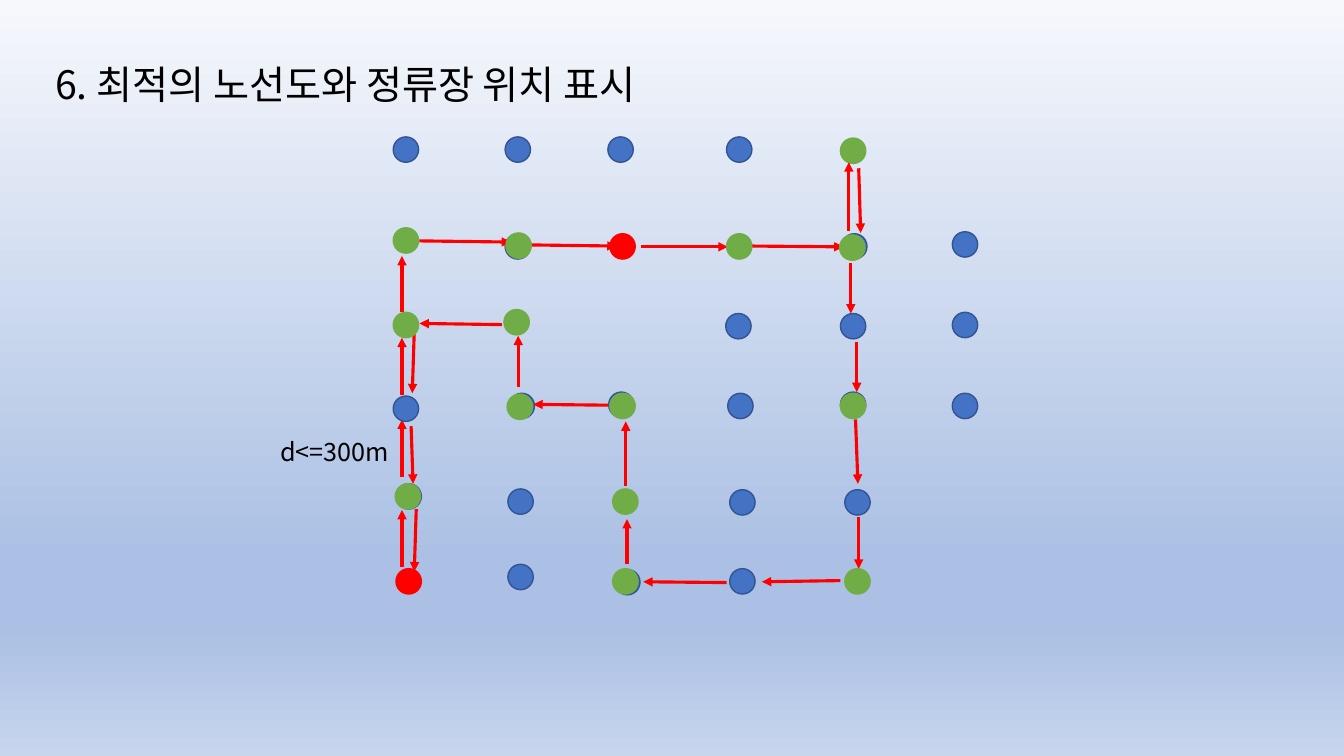
import dataclasses

import pptx
import pptx.dml.color
import pptx.enum.shapes
import pptx.enum.text
import pptx.oxml.ns
import pptx.util
from lxml import etree

Cm = pptx.util.Cm
Pt = pptx.util.Pt
qn = pptx.oxml.ns.qn
Align = pptx.enum.text.PP_ALIGN


@dataclasses.dataclass(frozen=True)
class Theme:
    font: str = "Noto Sans CJK KR"
    ink: str = "000000"
    blue: str = "4472C4"
    edge: str = "325491"
    green: str = "70AD47"
    red: str = "FF0000"
    sky: tuple = ((0, "F6F8FC"), (74, "ABC0E4"), (83, "ABC0E4"), (100, "C7D5ED"))
    title: int = 28
    label: int = 18
    rim: float = 1
    route: float = 2.25
    dot: float = 0.64


THEME = Theme()
PLAIN = (THEME.blue, THEME.edge)
STOP = (THEME.green, THEME.green)
END = (THEME.red, THEME.red)

# Dots as (left, top) in cm: street corners and both ends lie under the route
CORNERS = [
    (9.91, 3.45), (12.73, 3.45), (15.32, 3.45), (18.31, 3.45),
    (12.73, 5.89), (21.21, 5.89), (24, 5.84),
    (18.29, 7.9), (21.18, 7.9), (24, 7.87),
    (12.83, 9.91), (15.34, 9.88), (18.34, 9.91), (21.18, 9.88), (24, 9.91),
    (9.98, 12.19), (12.8, 12.32), (18.39, 12.34), (21.29, 12.34),
    (12.8, 14.22), (15.49, 14.35), (18.39, 14.33),
]
ENDS = [(15.37, 5.89), (9.98, 14.33)]
LOW_STOPS = [(9.91, 5.74), (21.18, 3.48)]

# Dots that lie over the route
TOP_CORNERS = [(9.91, 9.98)]
TOP_STOPS = [
    (12.75, 5.87), (18.31, 5.89), (21.16, 5.92),
    (9.91, 7.87), (12.7, 7.8),
    (12.78, 9.93), (15.37, 9.91), (21.18, 9.91),
    (9.96, 12.19), (15.44, 12.32),
    (15.44, 14.33), (21.29, 14.33),
]

# Route steps as (x1, y1, x2, y2) in cm, in driving order
ROUTE = [
    # Up the left side
    (10.13, 14.3, 10.13, 12.85), (10.13, 12.01, 10.13, 10.57),
    (10.13, 9.96, 10.13, 8.51), (10.13, 7.87, 10.13, 6.45),
    # Across to the right
    (10.57, 6.07, 12.88, 6.1), (13.23, 6.17, 15.54, 6.2),
    (16.15, 6.22, 18.34, 6.22), (18.95, 6.2, 21.26, 6.22),
    # Up to the top stop and back
    (21.39, 5.82, 21.39, 4.09), (21.64, 4.24, 21.69, 5.87),
    # Down the right side
    (21.44, 6.63, 21.44, 7.9), (21.59, 8.61, 21.59, 9.88),
    (21.56, 10.57, 21.62, 12.19), (21.64, 13.03, 21.64, 14.33),
    # Back by steps to the left
    (21.18, 14.63, 19.2, 14.66), (18.31, 14.68, 16.21, 14.66),
    (15.8, 14.22, 15.8, 13.08), (15.77, 12.24, 15.77, 10.62),
    (15.32, 10.21, 13.44, 10.19), (13.06, 9.75, 13.06, 8.46),
    (12.65, 8.18, 10.57, 8.15),
    # Down the left side
    (10.44, 8.33, 10.39, 9.91), (10.36, 10.74, 10.41, 12.19),
    (10.49, 12.83, 10.44, 14.4),
]


def rgb(code):
    return pptx.dml.color.RGBColor.from_string(code)


def paint(slide):
    """Fill the background from top to bottom."""
    fill = slide.background.fill
    fill.gradient()
    fill.gradient_angle = 270
    stops = slide.element.find(".//" + qn("a:gsLst"))
    for old in list(stops):
        stops.remove(old)
    for pos, code in THEME.sky:
        stop = etree.SubElement(stops, qn("a:gs"), pos=str(pos * 1000))
        etree.SubElement(stop, qn("a:srgbClr"), val=code)


def write(slide, text, box, size, align):
    """Add a text box and return its paragraph."""
    frame = slide.shapes.add_textbox(*map(Cm, box)).text_frame
    frame.word_wrap = True
    para = frame.paragraphs[0]
    para.text = text
    para.alignment = align
    para.font.size = Pt(size)
    para.font.name = THEME.font
    para.font.color.rgb = rgb(THEME.ink)
    props = para._p.find(".//" + qn("a:defRPr"))
    etree.SubElement(props, qn("a:ea"), typeface=THEME.font)
    return para


def dots(slide, spots, look):
    fill, rim = look
    for left, top in spots:
        dot = slide.shapes.add_shape(
            pptx.enum.shapes.MSO_SHAPE.OVAL,
            Cm(left), Cm(top), Cm(THEME.dot), Cm(THEME.dot))
        dot.shadow.inherit = False
        dot.fill.solid()
        dot.fill.fore_color.rgb = rgb(fill)
        dot.line.color.rgb = rgb(rim)
        dot.line.width = Pt(THEME.rim)


def arrow(slide, step):
    link = slide.shapes.add_connector(
        pptx.enum.shapes.MSO_CONNECTOR.STRAIGHT, *map(Cm, step))
    link.line.color.rgb = rgb(THEME.red)
    link.line.width = Pt(THEME.route)
    etree.SubElement(link.line._get_or_add_ln(), qn("a:tailEnd"), type="triangle")
    etree.SubElement(link._element.spPr, qn("a:effectLst"))


def main():
    deck = pptx.Presentation()
    deck.slide_width, deck.slide_height = Cm(33.87), Cm(19.05)
    slide = deck.slides.add_slide(deck.slide_layouts[6])
    paint(slide)

    # Title
    title = write(slide, "6. 최적의 노선도와 정류장 위치 표시",
                  (1.14, 1.52, 29.21, 16.28), THEME.title, Align.LEFT)
    title.line_spacing = 0.9
    title.space_before = Pt(10)

    # Map
    dots(slide, CORNERS, PLAIN)
    dots(slide, ENDS, END)
    dots(slide, LOW_STOPS, STOP)
    for step in ROUTE:
        arrow(slide, step)
    dots(slide, TOP_CORNERS, PLAIN)
    dots(slide, TOP_STOPS, STOP)

    # Distance label
    write(slide, "d<=300m", (4.62, 10.87, 7.62, 1.02), THEME.label, Align.CENTER)

    deck.save("out.pptx")


if __name__ == "__main__":
    main()
